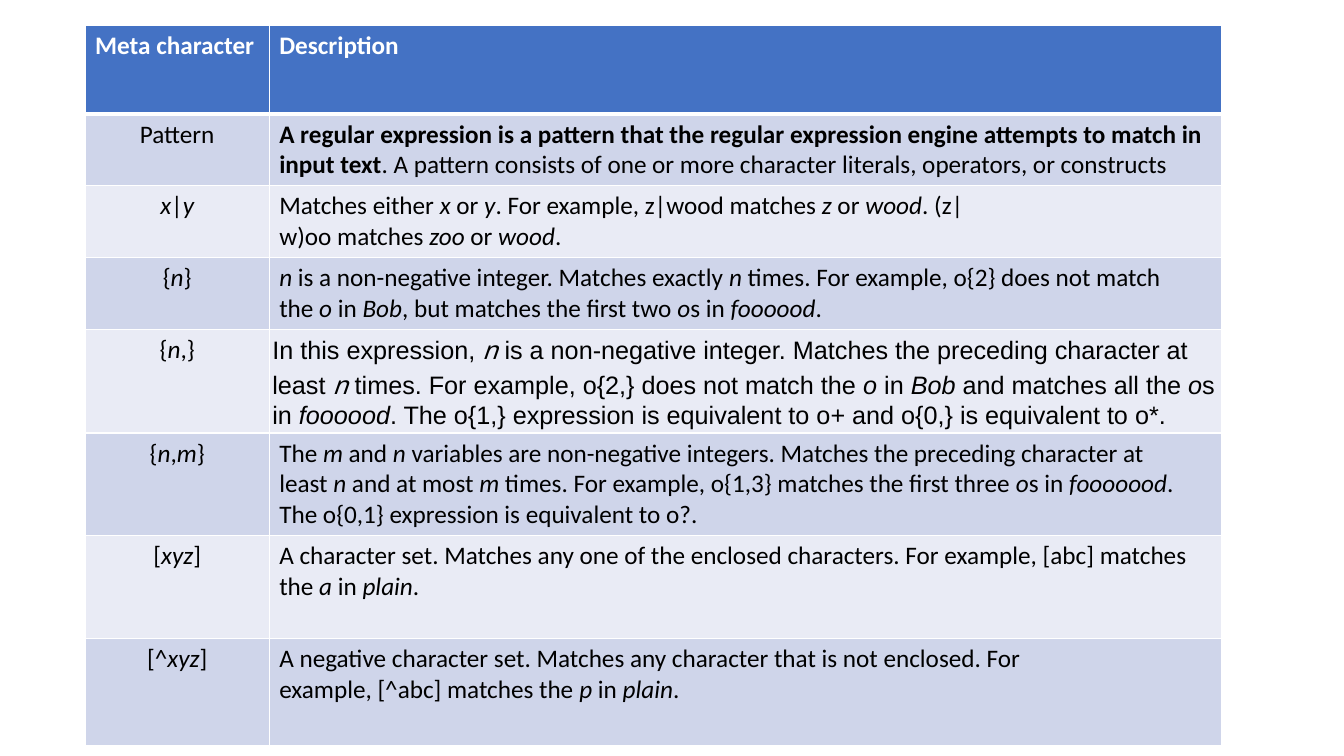
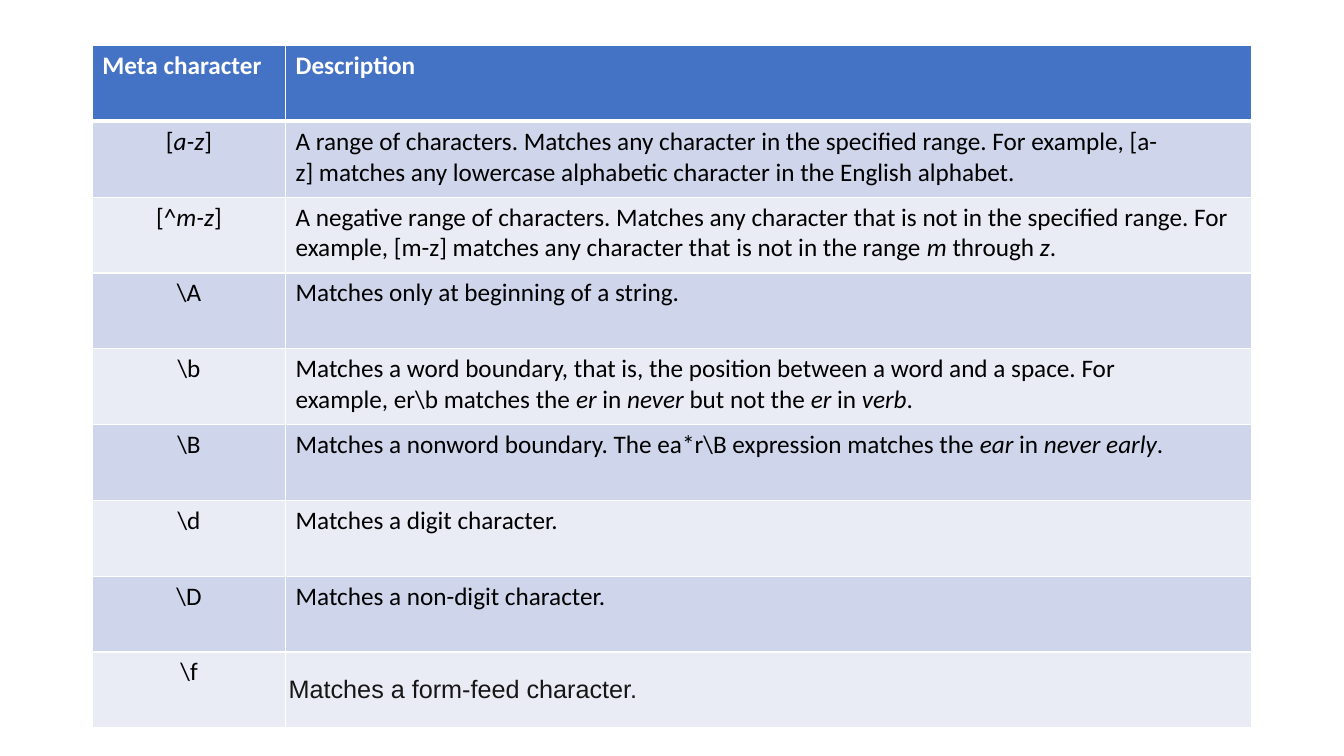
from dataclasses import dataclass

from lxml import etree
from pptx import Presentation
from pptx.dml.color import RGBColor
from pptx.enum import text
from pptx.oxml import ns
from pptx.util import Pt


@dataclass(frozen=True)
class Theme:
    header: str = "4472C4"
    bands: tuple = ("CFD5EA", "E9EBF5")
    rule: str = "FFFFFF"
    header_ink: str = "FFFFFF"
    ink: str = "000000"
    soft_ink: str = "161616"
    body_font: str = "Calibri"
    note_font: str = "Arial"
    mono_font: str = "Noto Sans Mono"
    size: float = 18
    thin: float = 1
    thick: float = 3
    note_inset: float = 2.25


THEME = Theme()
CENTER = text.PP_ALIGN.CENTER
LEFT = text.PP_ALIGN.LEFT
HEADINGS = ("Meta character", "Description")

# Markup: _italic_, #bold#, `monospaced italic`, ~ no-break space.
# An optional third item is the ink of a description set as a compact note.
OPERATORS = [
    ("Pattern", "#A regular expression is a pattern that the regular expression engine "
                "attempts to match in input text#. A pattern consists of one or more "
                "character literals, operators, or constructs"),
    ("_x_|_y_", "Matches either~_x_~or_~y_. For example,~z|wood~matches~_z_~or~_wood_."
                "~(z|w)oo~matches~_zoo_~or~_wood_."),
    ("{_n_}", "_n_~is a non-negative integer. Matches exactly~_n_~times. For example,"
              "~o{2}~does not match the~_o_~in~_Bob_, but matches the first two~_o_s "
              "in~_foooood_."),
    ("{_n_,}", "In this expression,~`n`~is a non-negative integer. Matches the preceding "
               "character at least~`n`~times. For example,~o{2,}~does not match the~_o_~in"
               "~_Bob_~and matches all the~_o_s in~_foooood_. The~o{1,}~expression is "
               "equivalent to~o+~and~o{0,} is equivalent to~o*.", THEME.ink),
    ("{_n_,_m_}", "The~_m_~and~_n_~variables are non-negative integers. Matches the "
                  "preceding character at least~_n_~and at most~_m_~times. For example,"
                  "~o{1,3}~matches the first three~_o_s in~_fooooood_. The~o{0,1}"
                  "~expression is equivalent to~o?."),
    ("[_xyz_]", "A character set. Matches any one of the enclosed characters. For example,"
                "~[abc]~matches the~_a_~in~_plain_."),
    ("[^_xyz_]", "A negative character set. Matches any character that is not enclosed. "
                 "For example,~[^abc]~matches the~_p_~in~_plain_."),
]

CLASSES = [
    ("[_a-z_]", "A range of characters. Matches any character in the specified range. For "
                "example,~[a-z]~matches any lowercase alphabetic character in the English "
                "alphabet."),
    ("[^_m-z_]", "A negative range of characters. Matches any character that is not in the "
                 "specified range. For example,~[m-z]~matches any character that is not in "
                 "the range~_m_~through~_z_."),
    (r"\A", "Matches only at beginning of a string."),
    (r"\b", r"Matches a word boundary, that is, the position between a word and a space. "
            r"For example,~er\b~matches the~_er_~in~_never_~but not the~_er_~in~_verb_."),
    (r"\B", r"Matches a nonword boundary. The~ea*r\B~expression matches the~_ear_~in"
            r"~_never early_."),
    (r"\d", "Matches a digit character."),
    (r"\D", "Matches a non-digit character."),
    (r"\f", "Matches a form-feed character.", THEME.soft_ink),
]


def split_markup(marked):
    """Yield (words, active mark) pairs; a mark character switches itself on and off."""
    words, active = "", ""
    for char in marked.replace("~", chr(160)):
        if char in "_#`":
            if words:
                yield words, active
            words, active = "", "" if active else char
        else:
            words += char
    if words:
        yield words, active


def write_cell(cell, marked, font, ink, align=LEFT, bold=False):
    paragraph = cell.text_frame.paragraphs[0]
    paragraph.alignment = align
    for words, mark in split_markup(marked):
        run = paragraph.add_run()
        run.text = words
        run.font.color.rgb = RGBColor.from_string(ink)
        style = {
            "name": THEME.mono_font if mark == "`" else font,
            "size": Pt(THEME.size),
            "bold": bold or mark == "#",
            "italic": mark in ("_", "`"),
        }
        for key, value in style.items():
            setattr(run.font, key, value)


def paint_cell(cell, fill, top, bottom):
    """Fill a cell and rule its four sides."""
    properties = cell._tc.get_or_add_tcPr()
    widths = {"lnL": THEME.thin, "lnR": THEME.thin, "lnT": top, "lnB": bottom}
    for side, width in widths.items():
        line = etree.SubElement(properties, ns.qn("a:" + side), w=str(Pt(width)))
        solid = etree.SubElement(line, ns.qn("a:solidFill"))
        etree.SubElement(solid, ns.qn("a:srgbClr"), val=THEME.rule)
    cell.fill.solid()
    cell.fill.fore_color.rgb = RGBColor.from_string(fill)


def compact_cell(cell):
    cell.vertical_anchor = text.MSO_ANCHOR.MIDDLE
    for side in ("left", "top", "right", "bottom"):
        setattr(cell, "margin_" + side, Pt(THEME.note_inset))


def add_reference_table(slide, left, top, columns, heights, entries):
    table = slide.shapes.add_table(
        len(heights), len(columns), Pt(left), Pt(top), Pt(sum(columns)), Pt(sum(heights))
    ).table
    for column, width in zip(table.columns, columns):
        column.width = Pt(width)
    for row, height in zip(table.rows, heights):
        row.height = Pt(height)

    for cell, heading in zip(table.rows[0].cells, HEADINGS):
        paint_cell(cell, THEME.header, THEME.thin, THEME.thick)
        write_cell(cell, heading, THEME.body_font, THEME.header_ink, bold=True)

    for index, (symbol, description, *note_ink) in enumerate(entries):
        symbol_cell, description_cell = table.rows[index + 1].cells
        for cell in (symbol_cell, description_cell):
            paint_cell(cell, THEME.bands[index % 2],
                       THEME.thin if index else THEME.thick, THEME.thin)
        write_cell(symbol_cell, symbol, THEME.body_font, THEME.ink, CENTER)
        if note_ink:
            compact_cell(description_cell)
            write_cell(description_cell, description, THEME.note_font, note_ink[0])
        else:
            write_cell(description_cell, description, THEME.body_font, THEME.ink)


def main():
    deck = Presentation()
    deck.slide_width, deck.slide_height = Pt(960), Pt(540)
    blank = deck.slide_layouts[6]
    add_reference_table(
        deck.slides.add_slide(blank), 60.8, 18, (131.5, 680.5),
        (63.5, 51, 51.5, 51.5, 73, 73, 73.5, 76.5), OPERATORS)
    add_reference_table(
        deck.slides.add_slide(blank), 66, 32.5, (138, 690),
        [54.15] * (len(CLASSES) + 1), CLASSES)
    deck.save("out.pptx")


if __name__ == "__main__":
    main()
